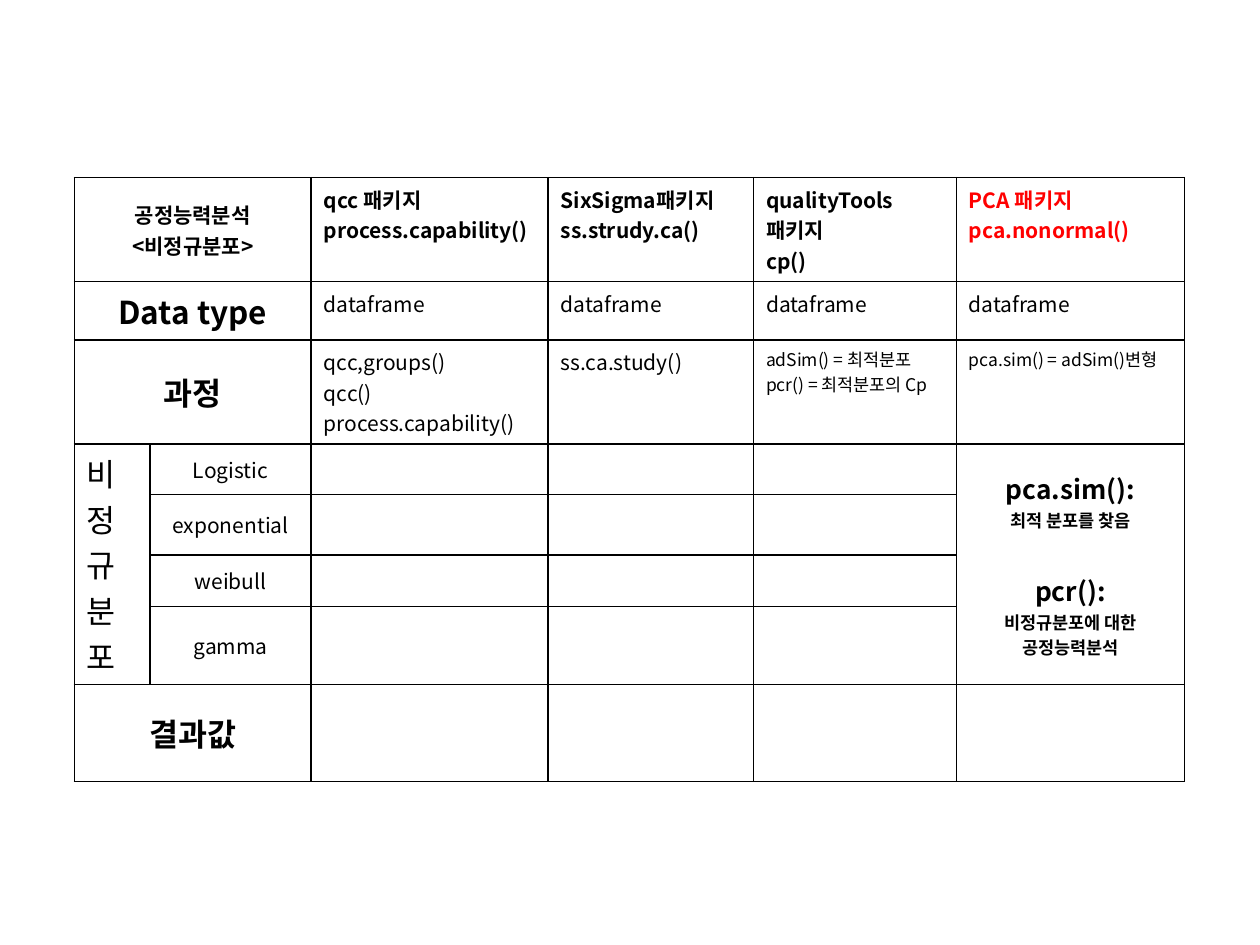
from lxml.etree import SubElement
from pptx import Presentation
from pptx.dml.color import RGBColor
from pptx.enum.text import MSO_ANCHOR, PP_ALIGN
from pptx.oxml.ns import qn
from pptx.util import Inches, Pt

FONT = "Noto Sans CJK KR"
COLS = [0.6, 1.28, 1.88, 1.63, 1.61, 1.81]
ROWS = [0.41, 0.41, 0.58, 0.4, 0.48, 0.41, 0.57, 0.77]
SPANS = [(0, 0, 0, 1), (1, 0, 1, 1), (2, 0, 2, 1),
         (3, 0, 6, 0), (3, 5, 6, 5), (7, 0, 7, 1)]

STYLES = {
    "head": {"size": 12, "bold": True},
    "mid": {"size": 12, "bold": True, "center": True},
    "red": {"size": 12, "bold": True, "color": "FF0000"},
    "label": {"size": 18, "bold": True, "center": True},
    "body": {"size": 12},
    "small": {"size": 10},
    "tall": {"size": 18},
    "dist": {"size": 12, "center": True},
    "big": {"size": 15, "bold": True, "center": True},
    "gap": {"size": 15, "bold": True, "center": True, "before": 22},
    "note": {"size": 10, "bold": True, "center": True},
}

TEXTS = {
    (0, 0): ("mid", ["공정능력분석", "<비정규분포>"]),
    (0, 2): ("head", ["qcc 패키지", "process.capability()"]),
    (0, 3): ("head", ["SixSigma패키지", "ss.strudy.ca()"]),
    (0, 4): ("head", ["qualityTools패키지", "cp()"]),
    (0, 5): ("red", ["PCA 패키지", "pca.nonormal()"]),
    (1, 0): ("label", ["Data type"]),
    **{(1, col): ("body", ["dataframe"]) for col in range(2, 6)},
    (2, 0): ("label", ["과정"]),
    (2, 2): ("body", ["qcc,groups()", "qcc()", "process.capability()"]),
    (2, 3): ("body", ["ss.ca.study()"]),
    (2, 4): ("small", ["adSim() = 최적분포", "pcr() = 최적분포의 Cp"]),
    (2, 5): ("small", ["pca.sim() = adSim()변형"]),
    (3, 0): ("tall", ["비", "정", "규분포"]),
    (3, 1): ("dist", ["Logistic"]),
    (4, 1): ("dist", ["exponential"]),
    (5, 1): ("dist", ["weibull"]),
    (6, 1): ("dist", ["gamma"]),
    (3, 5): ("note", [("big", "pca.sim():"), "최적 분포를 찾음", ("gap", "pcr():"),
                      "비정규분포에 대한", "공정능력분석"]),
    (7, 0): ("label", ["결과값"]),
}


def rgb(code):
    return RGBColor.from_string(code)


def frame(cell):
    props = cell._tc.get_or_add_tcPr()
    for side in ("lnL", "lnR", "lnT", "lnB"):
        line = SubElement(props, qn("a:" + side), w=str(Pt(1)))
        fill = SubElement(line, qn("a:solidFill"))
        SubElement(fill, qn("a:srgbClr"), val="000000")
    cell.fill.background()


def write(para, text, style):
    run = para.add_run()
    run.text = text
    look = {"name": FONT, "size": Pt(style["size"]), "bold": style.get("bold", False)}
    for key, value in look.items():
        setattr(run.font, key, value)
    run.font.color.rgb = rgb(style.get("color", "000000"))
    SubElement(run._r.get_or_add_rPr(), qn("a:ea"), typeface=FONT)
    para.alignment = PP_ALIGN.CENTER if style.get("center") else PP_ALIGN.LEFT
    if "before" in style:
        para.space_before = Pt(style["before"])


def fill_cell(cell, name, lines):
    if STYLES[name].get("center"):
        cell.vertical_anchor = MSO_ANCHOR.MIDDLE
    for num, line in enumerate(lines):
        kind, text = line if isinstance(line, tuple) else (name, line)
        box = cell.text_frame
        para = box.add_paragraph() if num else box.paragraphs[0]
        write(para, text, STYLES[kind])


def main():
    """Build the slide with the process capability table."""
    deck = Presentation()
    deck.slide_width, deck.slide_height = Inches(10), Inches(7.5)
    slide = deck.slides.add_slide(deck.slide_layouts[6])
    grid = slide.shapes.add_table(len(ROWS), len(COLS), Inches(0.59), Inches(1.41),
                                  Inches(sum(COLS)), Inches(sum(ROWS))).table
    for flag in ("first_row", "horz_banding"):
        setattr(grid, flag, False)
    for col, width in zip(grid.columns, COLS):
        col.width = Inches(width)
    for row, height in zip(grid.rows, ROWS):
        row.height = Inches(height)
    for top, left, low, right in SPANS:
        grid.cell(top, left).merge(grid.cell(low, right))
    for row in range(len(ROWS)):
        for col in range(len(COLS)):
            cell = grid.cell(row, col)
            frame(cell)
            if (row, col) in TEXTS:
                fill_cell(cell, *TEXTS[row, col])
            else:
                para = cell.text_frame.paragraphs[0]
                SubElement(para._p, qn("a:endParaRPr"), sz="1200")
    deck.save("out.pptx")


if __name__ == "__main__":
    main()
